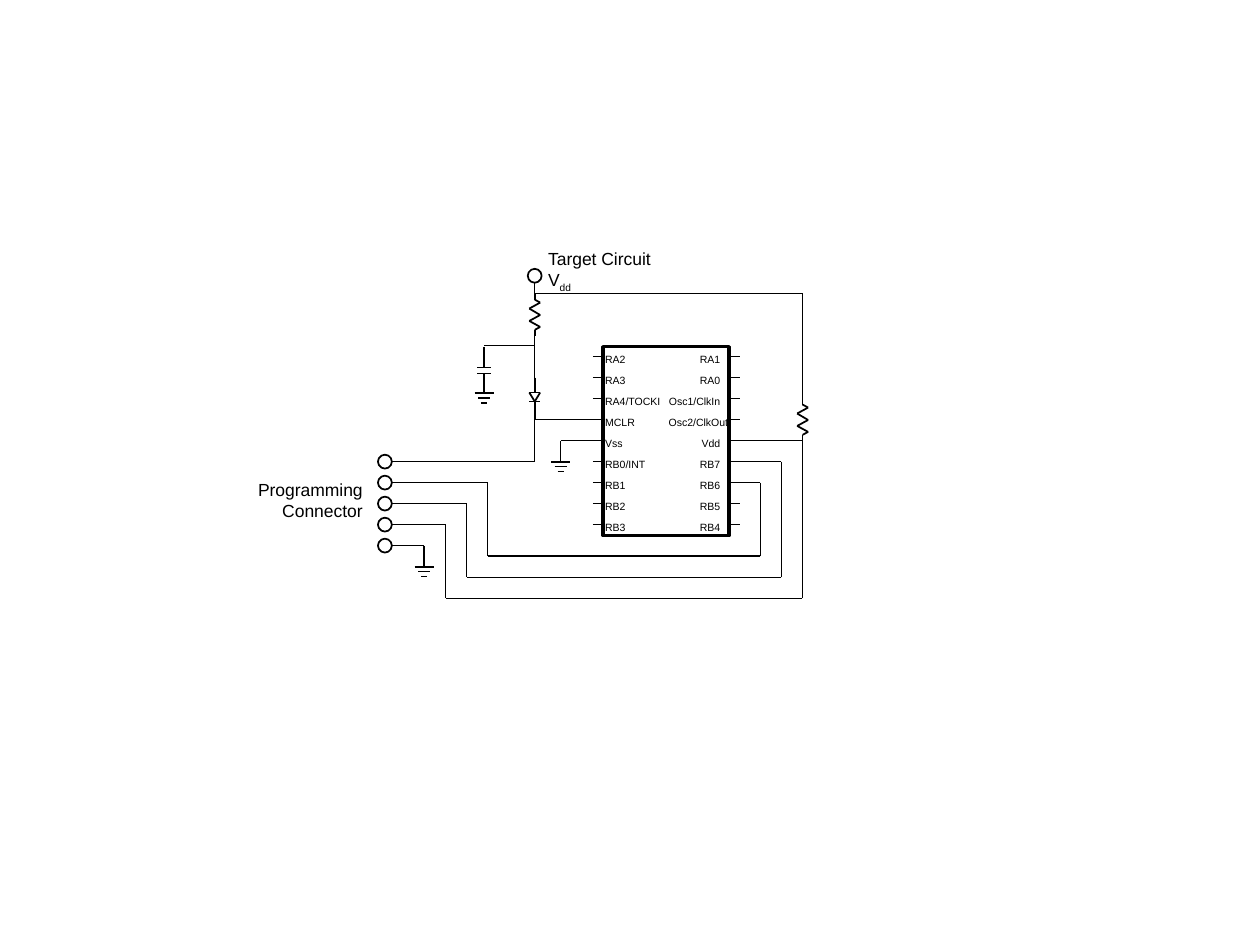
from lxml import etree
from pptx import Presentation
from pptx.dml.color import RGBColor
from pptx.enum.shapes import MSO_CONNECTOR, MSO_SHAPE
from pptx.enum.text import MSO_AUTO_SIZE, PP_ALIGN
from pptx.oxml.ns import qn
from pptx.util import Cm, Pt

STRAIGHT = MSO_CONNECTOR.STRAIGHT
RECT, OVAL = MSO_SHAPE.RECTANGLE, MSO_SHAPE.OVAL
LEFT, RIGHT = PP_ALIGN.LEFT, PP_ALIGN.RIGHT
FIT = MSO_AUTO_SIZE.SHAPE_TO_FIT_TEXT
INK = "000000"
FONT = "Arial"
PITCH = 2.54 / 6
WIRE, PART, BODY = 0.75, 1, 2
CHIP_LEFT, CHIP_RIGHT, PIN = 12.16, 14.7, 0.21
SUPPLY_X, CAP_X, RAIL_X, VSS_X = 10.78, 9.76, 16.18, 11.3
TERMINAL_X, TERMINAL_EDGE, GROUND_X = 7.76, 7.91, 8.55
LEFT_PINS = [("RA2", 1), ("RA3", 1), ("RA4/TOCKI", 1.7),
             ("MCLR", 1.2), ("Vss", 0.95), ("RB0/INT", 1.4),
             ("RB1", 1), ("RB2", 1), ("RB3", 1)]
RIGHT_PINS = [("RA1", 1), ("RA0", 1), ("Osc1/ClkIn", 1.62),
              ("Osc2/ClkOut", 1.75), ("Vdd", 0.95), ("RB7", 1),
              ("RB6", 1), ("RB5", 1), ("RB4", 1)]


def row(i):
    """Return the height of pin row i, in centimetres."""
    return 7.19 + i * PITCH


def color(value):
    """Turn a hex string into a colour."""
    return RGBColor.from_string(value)


def group(s):
    """Add a group and return its shapes."""
    return s.add_group_shape().shapes


def wire(s, points, width=WIRE):
    """Join successive points with straight lines."""
    for (x1, y1), (x2, y2) in zip(points, points[1:]):
        line = s.add_connector(STRAIGHT, Cm(x1), Cm(y1), Cm(x2), Cm(y2))
        line.line.color.rgb = color(INK)
        line.line.width = Pt(width)
        etree.SubElement(line._element.spPr, qn("a:effectLst"))


def bar(s, x, y, half):
    """Draw a horizontal stroke centred on x."""
    wire(s, [(x - half, y), (x + half, y)], PART)


def outline(s, kind, x, y, w, h, width):
    """Draw an unfilled preset shape."""
    sp = s.add_shape(kind, Cm(x), Cm(y), Cm(w), Cm(h))
    sp.shadow.inherit = False
    sp.fill.background()
    sp.line.color.rgb = color(INK)
    sp.line.width = Pt(width)


def terminal(s, x, y):
    """Draw a round terminal centred on a point."""
    outline(s, OVAL, x - 0.14, y - 0.14, 0.28, 0.28, PART)


def label(s, text, x, y, w, h, size, align=LEFT, wrap=False):
    """Add a text box and return its text frame."""
    tf = s.add_textbox(Cm(x), Cm(y), Cm(w), Cm(h)).text_frame
    tf.word_wrap = wrap
    tf.auto_size = FIT
    tf.text = text
    for p in tf.paragraphs:
        p.alignment = align
        for r in p.runs:
            style(r, size)
    return tf


def style(r, size):
    """Set the font of a run."""
    r.font.name = FONT
    r.font.size = Pt(size)
    r.font.color.rgb = color(INK)


def resistor(s, x, y):
    """Draw a vertical resistor from its top end."""
    zigzag = [(0, 0), (0, 0.12), (0.11, 0.18), (-0.11, 0.3), (0.11, 0.43),
              (-0.11, 0.55), (0.11, 0.67), (0, 0.73), (0, 0.85)]
    wire(group(s), [(x + dx, y + dy) for dx, dy in zigzag], PART)


def diode(s, x, y):
    """Draw a downward diode from its top end."""
    g = group(s)
    top, tip = y + 0.3, y + 0.48
    wire(g, [(x, y), (x, top)], PART)
    bar(g, x, top, 0.11)
    bar(g, x, tip, 0.11)
    wire(g, [(x - 0.11, top), (x, tip), (x + 0.11, top)], PART)
    wire(g, [(x, tip), (x, y + 0.85)], PART)


def capacitor(s, x, y):
    """Draw a vertical capacitor from its top end."""
    g = group(s)
    for start, end, plate in ((0, 0.42, 0.42), (0.54, 0.95, 0.54)):
        wire(g, [(x, y + start), (x, y + end)], PART)
        bar(g, x, y + plate, 0.14)


def ground(s, x, y):
    """Draw a ground symbol below a point."""
    g = group(s)
    for i, half in enumerate((0.19, 0.12, 0.06)):
        bar(g, x, y + 0.1 * i, half)


def chip(s):
    """Draw the microcontroller with its pins and names."""
    g = group(s)
    outline(g, RECT, CHIP_LEFT, 6.99, CHIP_RIGHT - CHIP_LEFT, 3.81, BODY)
    for i, ((left, lw), (right, rw)) in enumerate(zip(LEFT_PINS, RIGHT_PINS)):
        y = row(i)
        wire(g, [(CHIP_LEFT - PIN, y), (CHIP_LEFT, y)])
        wire(g, [(CHIP_RIGHT, y), (CHIP_RIGHT + PIN, y)])
        label(g, left, 11.95, y - 0.2, lw, 0.51, 6)
        end = 14.93 if right == "Osc2/ClkOut" else 14.77
        label(g, right, end - rw, y - 0.2, rw, 0.51, 6, RIGHT)


def supply(s):
    """Draw the supply, reset and pull-up branches."""
    pin = CHIP_LEFT - PIN
    terminal(s, SUPPLY_X, 5.56)
    wire(s, [(SUPPLY_X, 5.7), (SUPPLY_X, row(-3)), (RAIL_X, row(-3)),
             (RAIL_X, row(2))])
    resistor(s, SUPPLY_X, row(-3))
    wire(s, [(SUPPLY_X, 6.76), (SUPPLY_X, 7.67)])
    diode(s, SUPPLY_X, row(1))
    wire(s, [(CAP_X, 6.97), (SUPPLY_X, 6.97)])
    capacitor(s, CAP_X, 6.99)
    ground(s, CAP_X, 7.92)
    wire(s, [(pin, row(3)), (SUPPLY_X, row(3)), (SUPPLY_X, row(5)),
             (TERMINAL_EDGE, row(5))])
    resistor(s, RAIL_X, row(2))
    wire(s, [(pin, row(4)), (VSS_X, row(4)), (VSS_X, row(5))])
    ground(s, VSS_X, row(5))


def programming(s):
    """Draw the connector and its wires to the chip."""
    for i in range(5):
        terminal(s, TERMINAL_X, row(5 + i))
    for i in range(3):
        left, right = 9.83 - i * PITCH, 15.33 + i * PITCH
        pin, bottom, end = row(6 - i), row(9.5 + i), row(6 + i)
        wire(s, [(CHIP_RIGHT + PIN, pin), (right, pin), (right, bottom),
                 (left, bottom), (left, end), (TERMINAL_EDGE, end)])
    wire(s, [(TERMINAL_EDGE, row(9)), (GROUND_X, row(9)), (GROUND_X, row(10))])
    ground(s, GROUND_X, row(10))


def captions(s):
    """Name the target circuit and the connector."""
    tf = label(s, "Target Circuit\nV", 10.8, 4.88, 2.62, 1.17, 10)
    r = tf.paragraphs[1].add_run()
    r.text = "dd"
    style(r, 10)
    r._r.get_or_add_rPr().set("baseline", "-25000")
    label(s, "Programming\nConnector", 4.87, 9.53, 2.69, 1.12, 10, RIGHT, True)


def main():
    """Build the circuit diagram."""
    prs = Presentation()
    prs.slide_width, prs.slide_height = Cm(25.4), Cm(19.05)
    s = prs.slides.add_slide(prs.slide_layouts[6]).shapes
    chip(s)
    supply(s)
    programming(s)
    captions(s)
    prs.save("out.pptx")


if __name__ == "__main__":
    main()
